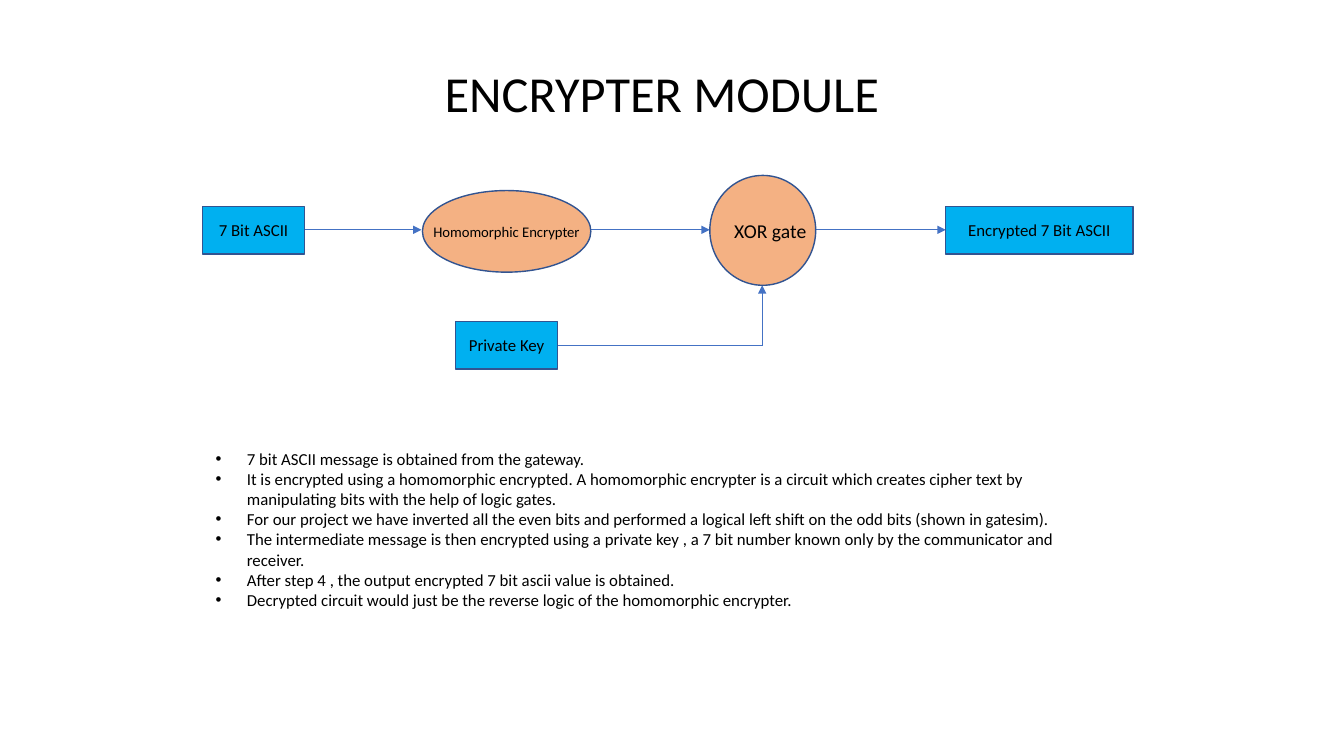
"""Build the encrypter module slide."""
from dataclasses import dataclass

from lxml import etree
from pptx import Presentation
from pptx.dml.color import RGBColor
from pptx.enum.shapes import MSO_CONNECTOR, MSO_SHAPE
from pptx.enum.text import MSO_ANCHOR, PP_ALIGN
from pptx.oxml.ns import qn
from pptx.util import Inches, Pt

BOX, OVAL = MSO_SHAPE.RECTANGLE, MSO_SHAPE.OVAL
LINE = MSO_CONNECTOR.STRAIGHT
CENTER, LEFT = PP_ALIGN.CENTER, PP_ALIGN.LEFT
TOP, MIDDLE = MSO_ANCHOR.TOP, MSO_ANCHOR.MIDDLE


@dataclass(frozen=True)
class Theme:
    """Colours, font and type sizes."""
    font: str = "Calibri"
    ink: str = "000000"
    data: str = "00B0F0"
    gate: str = "F4B183"
    edge: str = "325491"
    flow: str = "4472C4"
    title: float = 36
    body: float = 12
    small: float = 10.5
    large: float = 14


class Deck:
    """Draws elements on the current slide in one style."""

    def __init__(self, theme):
        self.theme = theme
        self.prs = Presentation()
        self.prs.slide_width = Inches(13.33)
        self.prs.slide_height = Inches(7.5)
        self.slide = self.prs.slides.add_slide(self.prs.slide_layouts[5])

    def style(self, para, size, align):
        para.alignment = align
        para.font.size = Pt(size)
        para.font.name = self.theme.font
        para.font.bold = False
        para.font.color.rgb = RGBColor.from_string(self.theme.ink)

    def title(self, text, x, y, w, h):
        shape = self.slide.shapes.title
        shape.left, shape.top, shape.width, shape.height = map(Inches, (x, y, w, h))
        shape.text_frame.text = text
        shape.text_frame.vertical_anchor = TOP
        self.style(shape.text_frame.paragraphs[0], self.theme.title, CENTER)

    def node(self, kind, text, x, y, w, h, fill, size, shift=0):
        shape = self.slide.shapes.add_shape(kind, *map(Inches, (x, y, w, h)))
        shape.shadow.inherit = False
        shape.fill.solid()
        shape.fill.fore_color.rgb = RGBColor.from_string(fill)
        shape.line.color.rgb = RGBColor.from_string(self.theme.edge)
        shape.line.width = Pt(1)
        frame = shape.text_frame
        frame.text = text
        frame.word_wrap = False
        frame.vertical_anchor = MIDDLE
        frame.margin_left, frame.margin_right = Inches(shift), 0
        self.style(frame.paragraphs[0], size, CENTER)

    def link(self, x1, y1, x2, y2, arrow=True):
        line = self.slide.shapes.add_connector(LINE, *map(Inches, (x1, y1, x2, y2)))
        line.line.color.rgb = RGBColor.from_string(self.theme.flow)
        line.line.width = Pt(0.5)
        props = line._element.spPr
        if arrow:
            etree.SubElement(props.find(qn("a:ln")), qn("a:tailEnd"), type="triangle")
        etree.SubElement(props, qn("a:effectLst"))

    def bullets(self, items, x, y, w, h):
        frame = self.slide.shapes.add_textbox(*map(Inches, (x, y, w, h))).text_frame
        frame.word_wrap = True
        for i, item in enumerate(items):
            para = frame.add_paragraph() if i else frame.paragraphs[0]
            para.text = item
            self.style(para, self.theme.body, LEFT)
            props = para._p.get_or_add_pPr()
            props.set("marL", str(Inches(0.31)))
            props.set("indent", str(-Inches(0.31)))
            font = etree.Element(qn("a:buFont"), typeface="Arial")
            mark = etree.Element(qn("a:buChar"), char="•")
            props.insert(0, font)
            props.insert(1, mark)


def main():
    """Draw the slide and save it."""
    theme = Theme()
    deck = Deck(theme)
    deck.title("ENCRYPTER MODULE", 3.86, 0.57, 5.41, 0.71)

    mid, low, turn = 2.28, 3.43, 7.56
    for x1, x2 in ((3.01, 4.18), (5.86, 7.04), (8.09, 9.38)):
        deck.link(x1, mid, x2, mid)
    deck.link(5.53, low, turn, low, arrow=False)
    deck.link(turn, low, turn, 2.83)

    for text, x, y, w in (
        ("7 Bit ASCII", 2.01, 2.05, 1.01),
        ("Private Key", 4.52, 3.19, 1.01),
        ("Encrypted 7 Bit ASCII", 9.38, 2.05, 1.86),
    ):
        deck.node(BOX, text, x, y, w, 0.47, theme.data, theme.body)
    deck.node(OVAL, "Homomorphic Encrypter", 4.19, 1.89, 1.67, 0.81,
              theme.gate, theme.small)
    deck.node(OVAL, "XOR gate", 7.04, 1.74, 1.05, 1.09,
              theme.gate, theme.large, shift=0.15)

    deck.bullets((
        "7 bit ASCII message is obtained from the gateway.",
        "It is encrypted using a homomorphic encrypted. A homomorphic encrypter is "
        "a circuit which creates cipher text by manipulating bits with the help of "
        "logic gates.",
        "For our project we have inverted all the even bits and performed a logical "
        "left shift on the odd bits (shown in gatesim).",
        "The intermediate message is then encrypted using a private key , a 7 bit "
        "number known only by the communicator and receiver.",
        "After step 4 , the output encrypted 7 bit ascii value is obtained.",
        "Decrypted circuit would just be the reverse logic of the homomorphic "
        "encrypter.",
    ), 2.04, 4.4, 9.02, 1.72)
    deck.prs.save("out.pptx")


if __name__ == "__main__":
    main()
